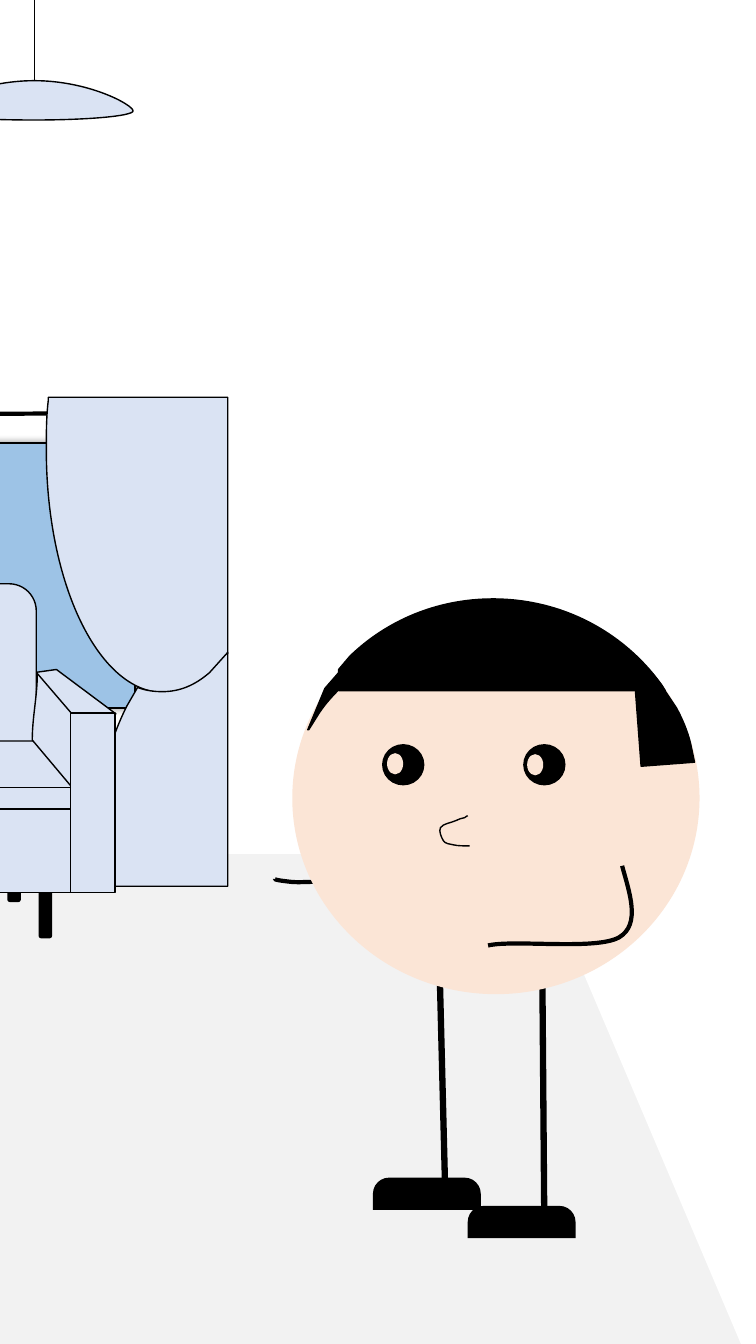
from dataclasses import dataclass
from math import cos, radians, sin

from lxml import etree
from pptx import Presentation
from pptx.dml.color import RGBColor
from pptx.enum.shapes import MSO_CONNECTOR, MSO_SHAPE
from pptx.oxml.ns import qn
from pptx.util import Inches, Pt

RECT = MSO_SHAPE.RECTANGLE
ROUNDED = MSO_SHAPE.ROUNDED_RECTANGLE
ROUND_TOP = MSO_SHAPE.ROUND_2_SAME_RECTANGLE
OVAL = MSO_SHAPE.OVAL
STRAIGHT = MSO_CONNECTOR.STRAIGHT

COLORS = {
    "floor": "F2F2F2",
    "wall": "FFFFFF",
    "glass": "9DC3E6",
    "fabric": "DAE3F3",
    "skin": "FBE5D6",
    "ink": "000000",
}


@dataclass(frozen=True)
class Block:
    kind: int
    box: tuple[float, float, float, float]
    fill: str
    line: float = 0
    adjustments: tuple[float, ...] = ()
    glow: bool = False


@dataclass(frozen=True)
class Outline:
    start: tuple[float, float]
    segments: list[tuple[float, ...]]
    fill: str = ""
    line: float = 1
    turn: float = 0
    center: tuple[float, float] = (0, 0)


@dataclass(frozen=True)
class Rod:
    start: tuple[float, float]
    end: tuple[float, float]
    line: float


def color(name: str) -> RGBColor:
    return RGBColor.from_string(COLORS[name])


def paint(part, fill: str, width: float) -> None:
    part.shadow.inherit = False
    for target, name in ((part.fill, fill), (part.line.fill, "ink" if width else "")):
        if name:
            target.solid()
            target.fore_color.rgb = color(name)
        else:
            target.background()
    if width:
        part.line.width = Pt(width)


def add_glow(part) -> None:
    effects = part.element.spPr.find(qn("a:effectLst"))
    shadow = etree.SubElement(effects, qn("a:outerShdw"))
    for name, value in {"blurRad": Pt(5), "dist": 0, "dir": 0, "algn": "ctr", "rotWithShape": 0}.items():
        shadow.set(name, str(value))
    tint = etree.SubElement(shadow, qn("a:srgbClr"), val=COLORS["ink"])
    etree.SubElement(tint, qn("a:alpha"), val="40000")


def draw_block(shapes, block: Block) -> None:
    part = shapes.add_shape(block.kind, *map(Inches, block.box))
    for index, value in enumerate(block.adjustments):
        part.adjustments[index] = value
    paint(part, block.fill, block.line)
    if block.glow:
        add_glow(part)


def unturn(point: tuple[float, float], outline: Outline) -> tuple[int, int]:
    angle = radians(outline.turn)
    across, down = (p - c for p, c in zip(point, outline.center))
    x = outline.center[0] + across * cos(angle) + down * sin(angle)
    y = outline.center[1] - across * sin(angle) + down * cos(angle)
    return Inches(x), Inches(y)


def bend(part, segments: list[tuple[float, ...]]) -> None:
    steps = iter(list(part.element.iter(qn("a:lnTo"))))
    for segment in segments:
        first = next(steps)
        if len(segment) == 6:
            first.tag = qn("a:cubicBezTo")
            for _ in range(2):
                control = next(steps)
                first.append(control[0])
                control.getparent().remove(control)


def draw_outline(shapes, outline: Outline) -> None:
    segments = list(outline.segments)
    if outline.fill and segments[-1][-2:] != outline.start:
        segments.append(outline.start)
    corners = [s[i:i + 2] for s in segments for i in range(0, len(s), 2)]
    builder = shapes.build_freeform(*unturn(outline.start, outline), scale=1.0)
    builder.add_line_segments([unturn(c, outline) for c in corners], close=bool(outline.fill))
    part = builder.convert_to_shape()
    bend(part, segments)
    part.rotation = outline.turn
    paint(part, outline.fill, outline.line)


def draw_rod(shapes, rod: Rod) -> None:
    part = shapes.add_connector(STRAIGHT, *map(Inches, rod.start + rod.end))
    part.line.fill.solid()
    for target, name, value in (
        (part.line, "width", Pt(rod.line)),
        (part.line.fill.fore_color, "rgb", color("ink")),
    ):
        setattr(target, name, value)
    etree.SubElement(part.element.spPr, qn("a:effectLst"))


ROOM = [
    Block(RECT, (-3.5, -7.6, 8.99, 16.07), "wall"),
    Outline((5.45, -0.57), [(8.13, -0.61), (8.09, 15.07), (5.32, 8.55)], "wall", 0),
]
WINDOW = [
    Block(RECT, (-5.55, 4.39, 6.89, 2.63), "glass", 1.5, glow=True),
    Rod((-5.17, 4.13), (0.83, 4.1), 3),
    Outline((0.48, 3.94), [
        (2.26, 3.94), (2.26, 6.48), (2.08, 6.68), (1.94, 6.8, 1.79, 6.87, 1.63, 6.87),
        (0.98, 6.87, 0.46, 5.79, 0.46, 4.46), (0.46, 4.29, 0.46, 4.13, 0.48, 3.97),
    ], "fabric"),
    Outline((2.26, 6.47), [
        (2.26, 8.79), (0.91, 8.79), (0.91, 8.7), (0.91, 8.04, 1.04, 7.43, 1.26, 7),
        (1.37, 6.81), (1.37, 6.82), (1.45, 6.85, 1.53, 6.86, 1.61, 6.86),
        (1.78, 6.86, 1.93, 6.8, 2.08, 6.67),
    ], "fabric"),
]
SOFA = [
    Outline((0.56, 6.64), [(0.35, 6.67), (0.7, 7.07), (1.15, 7.08)], "fabric"),
    Block(ROUNDED, (0.08, 8.39, 0.12, 0.55), "ink", 1),
    Block(ROUNDED, (-4.82, 5.79, 5.18, 1.94), "fabric", 1, (0.139,)),
    Outline((-2.29, 7.35), [(0.38, 7.35), (0.75, 7.82), (-2.29, 7.8)], "fabric"),
    Block(RECT, (-2.23, 7.81, 2.96, 0.21), "fabric", 1),
    Block(ROUNDED, (0.39, 8.75, 0.12, 0.55), "ink", 1),
    Block(RECT, (-5.16, 8.03, 5.94, 0.82), "fabric", 1),
    Outline((0.73, 7.1), [
        (0.37, 6.68), (0.37, 6.91, 0.32, 7.11, 0.32, 7.34), (0.74, 7.84),
        (0.74, 7.62, 0.73, 7.33, 0.73, 7.1),
    ], "fabric"),
    Block(RECT, (0.7, 7.07, 0.44, 1.78), "fabric", 1),
]
LAMP = [
    Rod((0.34, -4.81), (0.34, 0.8), 0.5),
    Outline((-0.63, 1.1), [
        (-0.63, 1.03, -0.19, 0.8, 0.34, 0.8), (0.88, 0.8, 1.32, 1.04, 1.32, 1.1),
        (1.32, 1.15, 0.88, 1.19, 0.34, 1.19), (-0.19, 1.19, -0.63, 1.16, -0.63, 1.1),
    ], "fabric"),
]
BODY = [
    Outline((3.95, 8.8), [
        (3.73, 8.68, 3.09, 8.75, 2.88, 8.74), (2.68, 8.72, 2.7, 8.71, 2.7, 8.71), (2.7, 8.71),
    ], line=3, turn=145.7, center=(3.33, 8.76)),
    Rod((5.38, 9.6), (5.4, 12.14), 4.5),
    Rod((4.36, 9.56), (4.42, 11.94), 4.5),
    Block(OVAL, (2.9, 5.97, 4.04, 3.89), "skin"),
    Block(OVAL, (5.19, 7.38, 0.42, 0.41), "ink"),
    *[Block(ROUND_TOP, (x, y, 1.07, 0.32), "ink", 0, (0.5, 0)) for x, y in ((3.7, 11.68), (4.64, 11.96))],
]
FACE = [
    Outline((6.17, 8.6), [
        (6.24, 8.86, 6.36, 9.18, 6.14, 9.31), (5.91, 9.44, 5.1, 9.33, 4.84, 9.39),
    ], line=3, turn=13.7, center=(5.61, 9.02)),
    Outline((4.64, 8.09), [
        (4.63, 8.09, 4.63, 8.1, 4.61, 8.11), (4.58, 8.12, 4.55, 8.12, 4.52, 8.14),
        (4.48, 8.16, 4.39, 8.17, 4.37, 8.21), (4.35, 8.24, 4.38, 8.31, 4.4, 8.34),
        (4.42, 8.37, 4.46, 8.37, 4.5, 8.38), (4.54, 8.39, 4.61, 8.39, 4.66, 8.39),
    ]),
    Block(OVAL, (3.79, 7.38, 0.42, 0.41), "ink"),
    *[Block(OVAL, (x, y, 0.16, 0.21), "skin") for x, y in ((5.23, 7.48), (3.84, 7.47))],
]
HAIR = [
    Outline((4.89, 5.94), [
        (5.59, 5.94, 6.2, 6.28, 6.57, 6.8), (6.6, 6.85), (3.36, 6.85), (3.36, 6.64), (3.47, 6.51),
        (3.83, 6.16, 4.33, 5.94, 4.89, 5.94),
    ], "ink"),
    Outline((6.3, 6.8), [
        (6.55, 6.78), (6.71, 7.02), (6.77, 7.13, 6.82, 7.25, 6.85, 7.37), (6.89, 7.56), (6.36, 7.6),
    ], "ink", turn=355.8, center=(6.6, 7.18)),
    Outline((3.64, 6.62), [
        (3.5, 6.56), (3.36, 6.67), (3.22, 6.83), (3.05, 7.24), (3.06, 7.24), (3.16, 7.08),
        (3.23, 6.97, 3.32, 6.88, 3.41, 6.79),
    ], "ink", turn=23.2, center=(3.34, 6.92)),
]
DRAWERS = {Block: draw_block, Outline: draw_outline, Rod: draw_rod}


def draw_parts(shapes, parts: list) -> None:
    for part in parts:
        DRAWERS[type(part)](shapes, part)


def main() -> None:
    deck = Presentation()
    for name, value in {"slide_width": 7.5, "slide_height": 13.33}.items():
        setattr(deck, name, Inches(value))
    slide = deck.slides.add_slide(deck.slide_layouts[6])
    slide.background.fill.solid()
    slide.background.fill.fore_color.rgb = color("floor")
    draw_parts(slide.shapes, ROOM)
    for parts in (WINDOW + SOFA, LAMP, BODY + FACE + HAIR):
        draw_parts(slide.shapes.add_group_shape().shapes, parts)
    deck.save("out.pptx")


if __name__ == "__main__":
    main()
